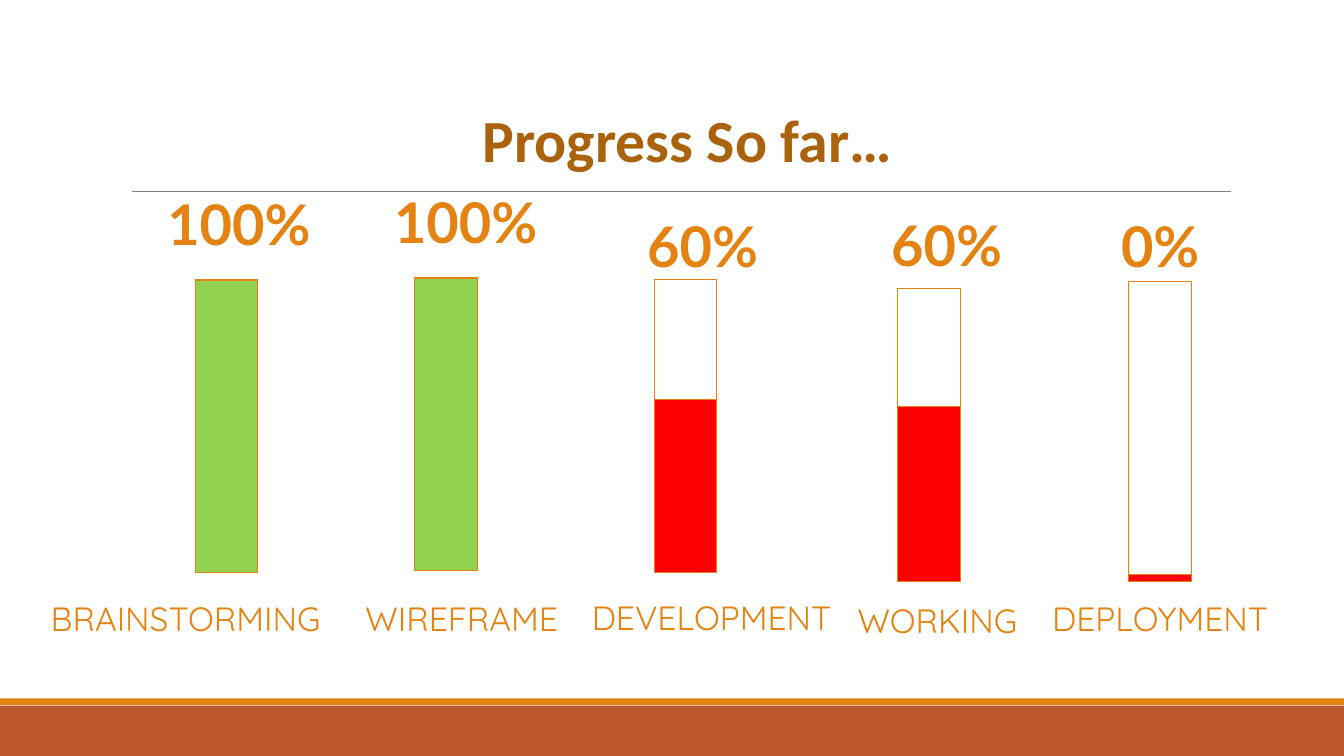
from typing import NamedTuple

from pptx import Presentation
from pptx.dml.color import RGBColor
from pptx.enum.shapes import MSO_CONNECTOR, MSO_SHAPE
from pptx.enum.text import MSO_ANCHOR, PP_ALIGN
from pptx.oxml.ns import qn
from pptx.util import Pt

RECTANGLE = MSO_SHAPE.RECTANGLE
STRAIGHT = MSO_CONNECTOR.STRAIGHT
TOP, MIDDLE = MSO_ANCHOR.TOP, MSO_ANCHOR.MIDDLE
CENTER = PP_ALIGN.CENTER

SLIDE_WIDTH, SLIDE_HEIGHT = 960, 540
BAR_WIDTH, BAR_HEIGHT = 44.8, 209.5
VALUE_WIDTH, VALUE_HEIGHT = 152.6, 42.5
COLORS = {
    "orange": "E48312",
    "rust": "BD582C",
    "brown": "AB620D",
    "gray": "808080",
    "done": "92D050",
    "open": "FF0000",
}
MARGINS = ("margin_left", "margin_top", "margin_right", "margin_bottom")


class Stage(NamedTuple):
    """One column; the boxes are left, top, width, height in points."""
    name: str
    label_box: tuple
    value: str
    value_at: tuple
    bar_at: tuple
    fill_top: float
    fill_height: float
    color: str


STAGES = [
    Stage("BRAINSTORMING", (14.4, 425.5, 236.2, 42.5), "100%", (94.3, 146.9),
          (139.5, 199.4), 200.2, 208.8, "done"),
    Stage("WIREFRAME", (239.8, 425.5, 180, 42.5), "100%", (256.3, 145.4),
          (296.3, 198), 198.7, 208.8, "done"),
    Stage("DEVELOPMENT", (405.4, 423.4, 205.9, 45.4), "60%", (425.5, 162.7),
          (467.3, 199.4), 285.1, 123.8, "open"),
    Stage("WORKING", (593.3, 427, 152.6, 42.5), "60%", (599.8, 162),
          (641.2, 205.9), 290.2, 125.3, "open"),
    Stage("DEPLOYMENT", (727.9, 425.5, 201.6, 41.8), "0%", (752.4, 162.7),
          (806.4, 200.9), 410.4, 5, "open"),
]


def points(box):
    return [Pt(length) for length in box]


def color_of(name):
    return RGBColor.from_string(COLORS[name])


class ProgressSlide:
    label_style = {"size": Pt(24), "name": "Quicksand", "bold": False}
    value_style = {"size": Pt(40), "name": "Lato", "bold": True}
    title_style = {"size": Pt(42.7), "name": "Calibri", "bold": True}

    def __init__(self, presentation):
        self.slide = presentation.slides.add_slide(presentation.slide_layouts[5])
        self.shapes = self.slide.shapes

    def rectangle(self, box, fill=None, line=None, parent=None):
        shape = (parent or self.shapes).add_shape(RECTANGLE, *points(box))
        shape.shadow.inherit = False
        if fill:
            shape.fill.solid()
            shape.fill.fore_color.rgb = color_of(fill)
        else:
            shape.fill.background()
        if line:
            shape.line.color.rgb = color_of(line)
            shape.line.width = Pt(0.75)
        else:
            shape.line.fill.background()

    def rule(self, left, right, top):
        line = self.shapes.add_connector(STRAIGHT, *points((left, top, right, top)))
        line.line.color.rgb = color_of("gray")
        line.line.width = Pt(0.5)
        properties = line._element.spPr
        properties.append(properties.makeelement(qn("a:effectLst"), {}))

    def fill_text(self, shape, text, style, color, frame_format, spacing):
        frame = shape.text_frame
        for name, value in frame_format.items():
            setattr(frame, name, value)
        paragraph = frame.paragraphs[0]
        paragraph.alignment = CENTER
        paragraph.line_spacing = spacing
        run = paragraph.add_run()
        run.text = text
        for name, value in style.items():
            setattr(run.font, name, value)
        run.font.color.rgb = color_of(color)

    def text(self, box, text, style):
        frame_format = dict.fromkeys(MARGINS, Pt(9.6))
        frame_format.update(word_wrap=True, vertical_anchor=MIDDLE)
        shape = self.shapes.add_textbox(*points(box))
        self.fill_text(shape, text, style, "orange", frame_format, 0.5)

    def title(self, box, text):
        title = self.shapes.title
        title.left, title.top, title.width, title.height = points(box)
        frame_format = {"word_wrap": True, "vertical_anchor": TOP}
        self.fill_text(title, text, self.title_style, "brown", frame_format, 1.0)

    def bar(self, stage):
        group = self.shapes.add_group_shape().shapes
        left, top = stage.bar_at
        self.rectangle((left, top, BAR_WIDTH, BAR_HEIGHT), None, "orange", group)
        self.rectangle((left, stage.fill_top, BAR_WIDTH, stage.fill_height),
                       stage.color, "orange", group)

    def stage(self, stage):
        self.bar(stage)
        self.text(stage.label_box, stage.name, self.label_style)
        self.text((*stage.value_at, VALUE_WIDTH, VALUE_HEIGHT), stage.value,
                  self.value_style)


def main():
    presentation = Presentation()
    presentation.slide_width = Pt(SLIDE_WIDTH)
    presentation.slide_height = Pt(SLIDE_HEIGHT)
    progress = ProgressSlide(presentation)
    progress.rectangle((0, 504, SLIDE_WIDTH, 36), "rust")
    progress.rectangle((0, 498.8, SLIDE_WIDTH, 5), "orange")
    progress.rule(94.3, 879, 136.6)
    for stage in STAGES:
        progress.stage(stage)
    progress.title((167, 69.8, 648, 59), "Progress So far…")
    presentation.save("out.pptx")


if __name__ == "__main__":
    main()
